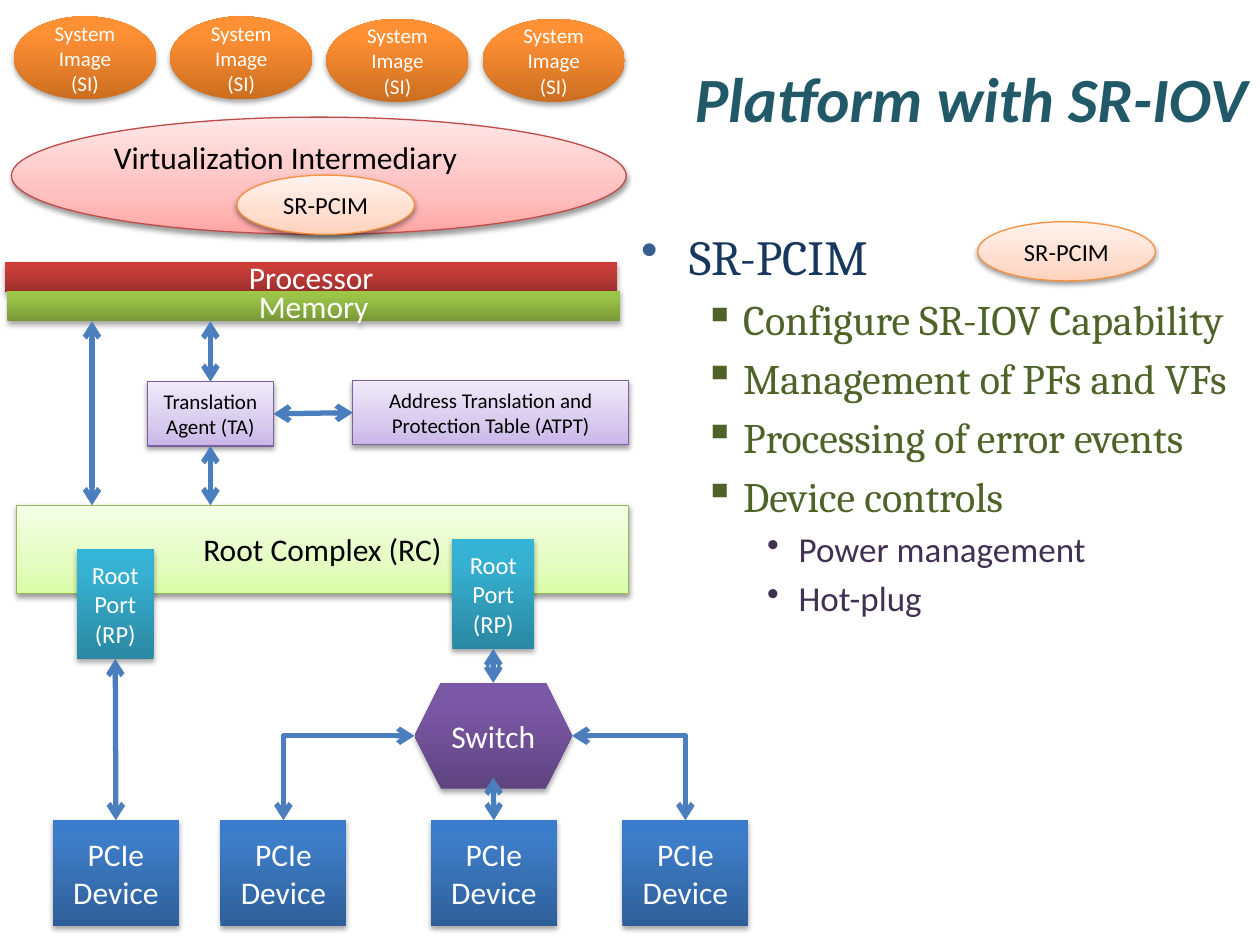
from collections import namedtuple

from pptx import Presentation
from pptx.dml.color import RGBColor
from pptx.enum.shapes import MSO_CONNECTOR, MSO_SHAPE
from pptx.enum.text import MSO_ANCHOR, PP_ALIGN
from pptx.oxml import parse_xml
from pptx.oxml.ns import nsdecls, qn
from pptx.util import Inches, Pt

RECTANGLE, ELLIPSE, HEXAGON = MSO_SHAPE.RECTANGLE, MSO_SHAPE.OVAL, MSO_SHAPE.HEXAGON
STRAIGHT, ELBOW = MSO_CONNECTOR.STRAIGHT, MSO_CONNECTOR.ELBOW
LEFT, CENTER, RIGHT = PP_ALIGN.LEFT, PP_ALIGN.CENTER, PP_ALIGN.RIGHT
MIDDLE, TOP = MSO_ANCHOR.MIDDLE, MSO_ANCHOR.TOP
SIDE_TOP, SIDE_LEFT, SIDE_BOTTOM, SIDE_RIGHT = range(4)

color = RGBColor.from_string
WHITE, BLACK = color("FFFFFF"), color("000000")
TEAL, NAVY, BULLET_BLUE = color("215968"), color("17375E"), color("376092")
OLIVE, PLUM, ARROW_BLUE = color("4F6228"), color("403152"), color("4B7EBC")

# Gradient colours run from the bottom up; outlined styles are the pale ones
Style = namedtuple("Style", "bottom middle top outline", defaults=[None])
ORANGE = Style(color("CC6E20"), color("FF9034"), color("FF9136"))
RED = Style(color("9C2F2D"), color("CB3E3A"), color("CE3B37"))
GREEN = Style(color("779737"), color("9BC348"), color("9DC746"))
AQUA = Style(color("2A88A2"), color("37B1D2"), color("34B4D6"))
BLUE = Style(color("2F5F99"), color("3D7CC7"), color("3A7CCB"))
PURPLE = Style(color("5F4480"), color("7B58A6"), color("7C57A8"))
PALE_GREEN = Style(color("DAFDA7"), color("E4FCC2"), color("F5FFE7"), color("98B955"))
PALE_RED = Style(color("FFA6A5"), color("FFC0BF"), color("FFE7E7"), color("BF4C48"))
PALE_PURPLE = Style(color("C9B5E8"), color("D8CBEE"), color("F0EAF9"), color("7D60A0"))
PALE_ORANGE = Style(color("FFD2BD"), color("FFDED0"), color("FFF2ED"), color("F69240"))

Box = namedtuple("Box", "left top width height")


def inch_box(*lengths):
    return Box(*(Inches(length) for length in lengths))


def inner_box(box, left, top, width, height):
    """A box placed relative to another one, in inches."""
    return Box(box.left + Inches(left), box.top + Inches(top),
               Inches(width), Inches(height))


def add_text(para, text, *, size, color, font="Calibri", align=CENTER,
             bold=False, italic=False):
    para.alignment = align
    span = para.add_run()
    span.text = text
    span.font.name, span.font.size = font, Pt(size)
    span.font.bold, span.font.italic = bold, italic
    span.font.color.rgb = color


def add_frame(page, box, anchor):
    frame = page.shapes.add_textbox(*box).text_frame
    frame.word_wrap = True
    frame.vertical_anchor = anchor
    return frame


def set_gradient(shape, style):
    middle = 35 if style.outline else 80
    stops = zip((0, middle, 100), style[:3])
    stop_xml = "".join(f'<a:gs pos="{position * 1000}"><a:srgbClr val="{shade}"/></a:gs>'
                       for position, shade in stops)
    shape._element.spPr.find(qn("a:prstGeom")).addnext(parse_xml(
        f'<a:gradFill {nsdecls("a")} rotWithShape="1"><a:gsLst>{stop_xml}</a:gsLst>'
        '<a:lin ang="16200000" scaled="0"/></a:gradFill>'))


def set_shadow(shape, distance, opacity):
    shape.shadow.inherit = False
    shape._element.spPr.find(qn("a:effectLst")).append(parse_xml(
        f'<a:outerShdw {nsdecls("a")} blurRad="{Pt(3.1)}" dist="{Pt(distance)}" '
        f'dir="5400000" rotWithShape="0"><a:srgbClr val="000000">'
        f'<a:alpha val="{opacity * 1000}"/></a:srgbClr></a:outerShdw>'))


def add_node(page, box, text, style, size=18, kind=RECTANGLE, align=CENTER):
    shape = page.shapes.add_shape(kind, *box)
    set_gradient(shape, style)
    if style.outline:
        shape.line.color.rgb = style.outline
        shape.line.width = Pt(0.75)
        set_shadow(shape, 1.6, 38)
    else:
        shape.line.fill.background()
        set_shadow(shape, 1.8, 35)
    frame = shape.text_frame
    frame.word_wrap = True
    frame.vertical_anchor = MIDDLE
    for index, line in enumerate(text.split("\n")):
        para = frame.add_paragraph() if index else frame.paragraphs[0]
        add_text(para, line, size=size, align=align,
                 color=BLACK if style.outline else WHITE)
    return shape


def add_arrow(page, start, end, kind=STRAIGHT):
    arrow = page.shapes.add_connector(kind, *start, *end)
    arrow.line.color.rgb = ARROW_BLUE
    arrow.line.width = Pt(3)
    properties = arrow._element.spPr
    outline = properties.find(qn("a:ln"))
    for tag in ("headEnd", "tailEnd"):
        outline.append(parse_xml(f'<a:{tag} {nsdecls("a")} type="arrow"/>'))
    properties.append(parse_xml(f'<a:effectLst {nsdecls("a")}/>'))
    if kind == ELBOW:
        properties.find(qn("a:prstGeom")).set("prst", "bentConnector2")
    return arrow


def center_x(shape):
    return shape.left + shape.width // 2


def bottom_of(shape):
    return shape.top + shape.height


def add_pcim(page, box):
    add_node(page, box, "SR-PCIM", PALE_ORANGE, 14, ELLIPSE)


def add_title(page, box):
    frame = add_frame(page, box, MIDDLE)
    add_text(frame.paragraphs[0], "Platform with SR-IOV", size=36, color=TEAL,
             align=RIGHT, bold=True, italic=True)


def add_body(page, box):
    # Level: margin, hanging indent, bullet, bullet colour, text format
    levels = [
        (0.38, 0.38, "•", BULLET_BLUE, dict(size=28, font="Cambria", color=NAVY)),
        (0.81, 0.31, "▪", OLIVE, dict(size=24, font="Cambria", color=OLIVE)),
        (1.25, 0.25, "•", PLUM, dict(size=20, color=PLUM)),
    ]
    items = [(0, "SR-PCIM"), (1, "Configure SR-IOV Capability"),
             (1, "Management of PFs and VFs"), (1, "Processing of error events"),
             (1, "Device controls"), (2, "Power management"), (2, "Hot-plug")]
    frame = add_frame(page, box, TOP)
    for index, (level, text) in enumerate(items):
        margin, hanging, bullet, shade, style = levels[level]
        para = frame.add_paragraph() if index else frame.paragraphs[0]
        para.level = level
        add_text(para, text, align=LEFT, **style)
        properties = para._p.get_or_add_pPr()
        properties.set("marL", str(Inches(margin)))
        properties.set("indent", str(-Inches(hanging)))
        for xml in ('<a:spcBef {}><a:spcPct val="20000"/></a:spcBef>',
                    f'<a:buClr {{}}><a:srgbClr val="{shade}"/></a:buClr>',
                    f'<a:buChar {{}} char="{bullet}"/>'):
            properties.append(parse_xml(xml.format(nsdecls("a"))))
    add_pcim(page, inner_box(box, 2.77, 0.01, 1.41, 0.47))


def add_software(page, box):
    for index in range(4):
        top = 0 if index < 2 else 0.02
        add_node(page, inner_box(box, 0.02 + 1.24 * index, top, 1.13, 0.66),
                 "System Image (SI)", ORANGE, 12, ELLIPSE)
    intermediary = add_node(page, inner_box(box, 0, 0.8, 4.88, 0.93),
                            "Virtualization Intermediary", PALE_RED,
                            kind=ELLIPSE, align=LEFT)
    intermediary.text_frame.margin_bottom = Inches(0.35)
    add_pcim(page, inner_box(box, 1.79, 1.26, 1.41, 0.47))


def add_host(page, box):
    add_node(page, inner_box(box, 0, 0, 4.86, 0.24), "Processor", RED)
    memory = add_node(page, inner_box(box, 0.02, 0.23, 4.86, 0.24), "Memory", GREEN)
    complex_box = add_node(page, inner_box(box, 0.09, 1.93, 4.86, 0.7),
                           "Root Complex (RC)", PALE_GREEN)
    agent = add_node(page, inner_box(box, 1.13, 0.95, 1, 0.51),
                     "Translation Agent (TA)", PALE_PURPLE, 12)
    table = add_node(page, inner_box(box, 2.76, 0.94, 2.19, 0.51),
                     "Address Translation and Protection Table (ATPT)", PALE_PURPLE, 12)

    # Paths between memory, agent, table and root complex
    direct_x, agent_x = box.left + Inches(0.69), center_x(agent)
    memory_y, complex_y = bottom_of(memory), complex_box.top
    add_arrow(page, (direct_x, memory_y), (direct_x, complex_y))
    add_arrow(page, (agent_x, memory_y), (agent_x, agent.top)).end_connect(agent, SIDE_TOP)
    add_arrow(page, (agent_x, bottom_of(agent)),
              (agent_x, complex_y)).begin_connect(agent, SIDE_BOTTOM)
    link = add_arrow(page, (table.left, table.top), (agent.left, agent.top))
    link.begin_connect(table, SIDE_LEFT)
    link.end_connect(agent, SIDE_RIGHT)


def add_devices(page, box):
    port_left = add_node(page, inner_box(box, 0.19, 0.08, 0.61, 0.87),
                         "Root\nPort (RP)", AQUA, 14)
    port_right = add_node(page, inner_box(box, 3.17, 0, 0.65, 0.87),
                          "Root\nPort (RP)", AQUA, 14)
    switch = add_node(page, inner_box(box, 2.87, 1.14, 1.25, 0.84),
                      "Switch", PURPLE, kind=HEXAGON)
    devices = [add_node(page, inner_box(box, left, 2.23, 1, 0.84), "PCIe Device", BLUE)
               for left in (0, 1.33, 3, 4.52)]

    # Straight links
    link = add_arrow(page, (port_left.left, port_left.top), (devices[0].left, devices[0].top))
    link.begin_connect(port_left, SIDE_BOTTOM)
    link.end_connect(devices[0], SIDE_TOP)
    middle = center_x(switch)
    add_arrow(page, (middle, bottom_of(port_right)),
              (middle, switch.top)).begin_connect(port_right, SIDE_BOTTOM)
    add_arrow(page, (middle, bottom_of(switch) - Inches(0.09)),
              (middle, devices[2].top)).end_connect(devices[2], SIDE_TOP)

    # Bent links from the sides of the switch
    switch_y = switch.top + switch.height // 2
    for side, device in ((switch.left, devices[1]),
                         (switch.left + switch.width, devices[3])):
        add_arrow(page, (side, switch_y), (center_x(device), device.top), ELBOW)


def main():
    deck = Presentation()
    deck.slide_width, deck.slide_height = Inches(10), Inches(7.5)
    page = deck.slides.add_slide(deck.slide_layouts[6])
    add_title(page, inch_box(0.5, 0.3, 9.5, 0.95))
    add_body(page, inch_box(4.99, 1.75, 5.01, 5.75))
    add_software(page, inch_box(0.09, 0.13, 4.88, 1.73))
    add_host(page, inch_box(0.04, 2.08, 4.95, 2.63))
    add_devices(page, inch_box(0.42, 4.28, 5.52, 3.07))
    deck.save("out.pptx")


if __name__ == "__main__":
    main()
